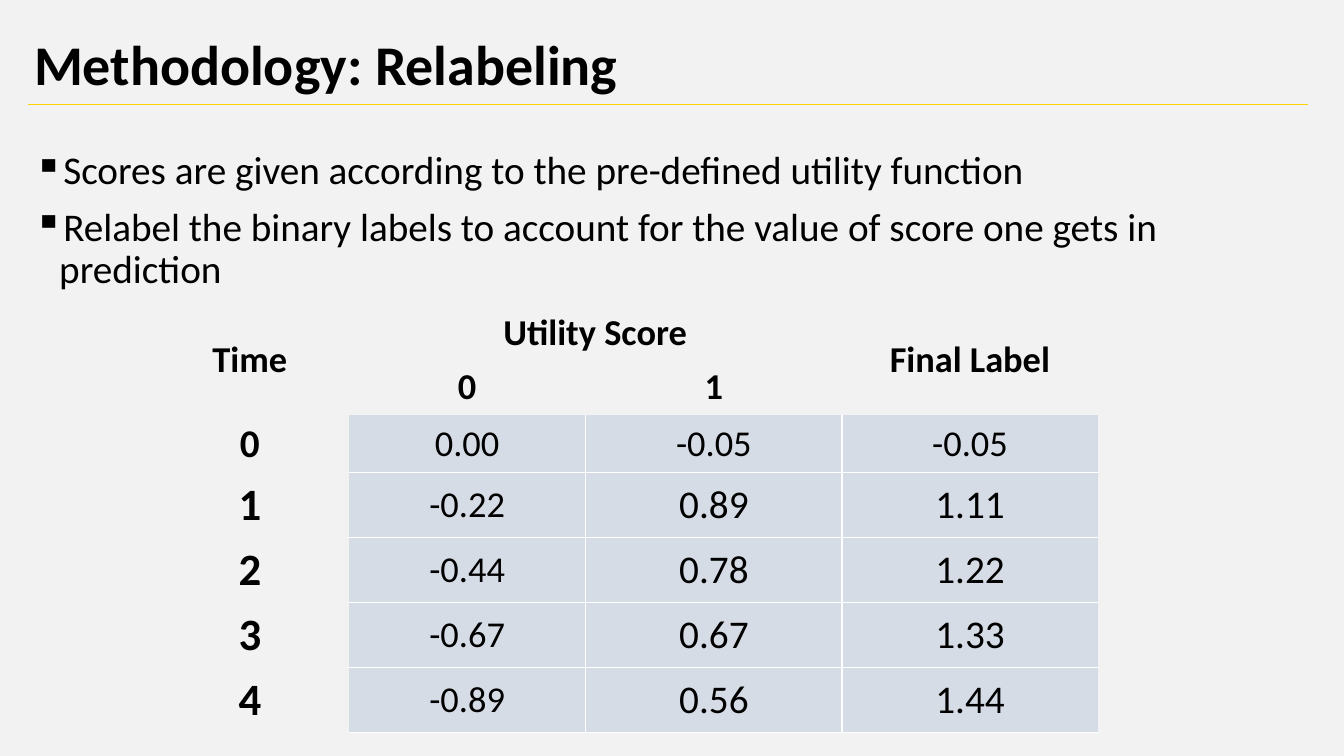
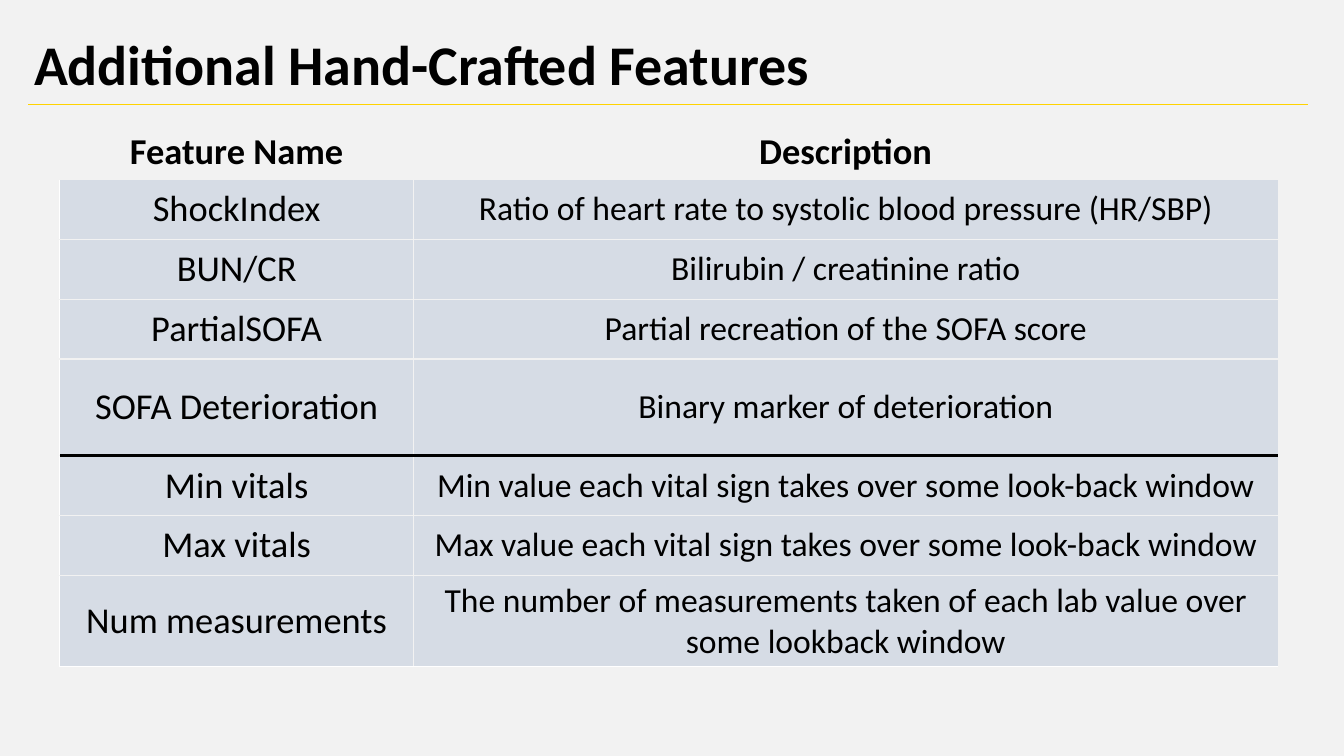
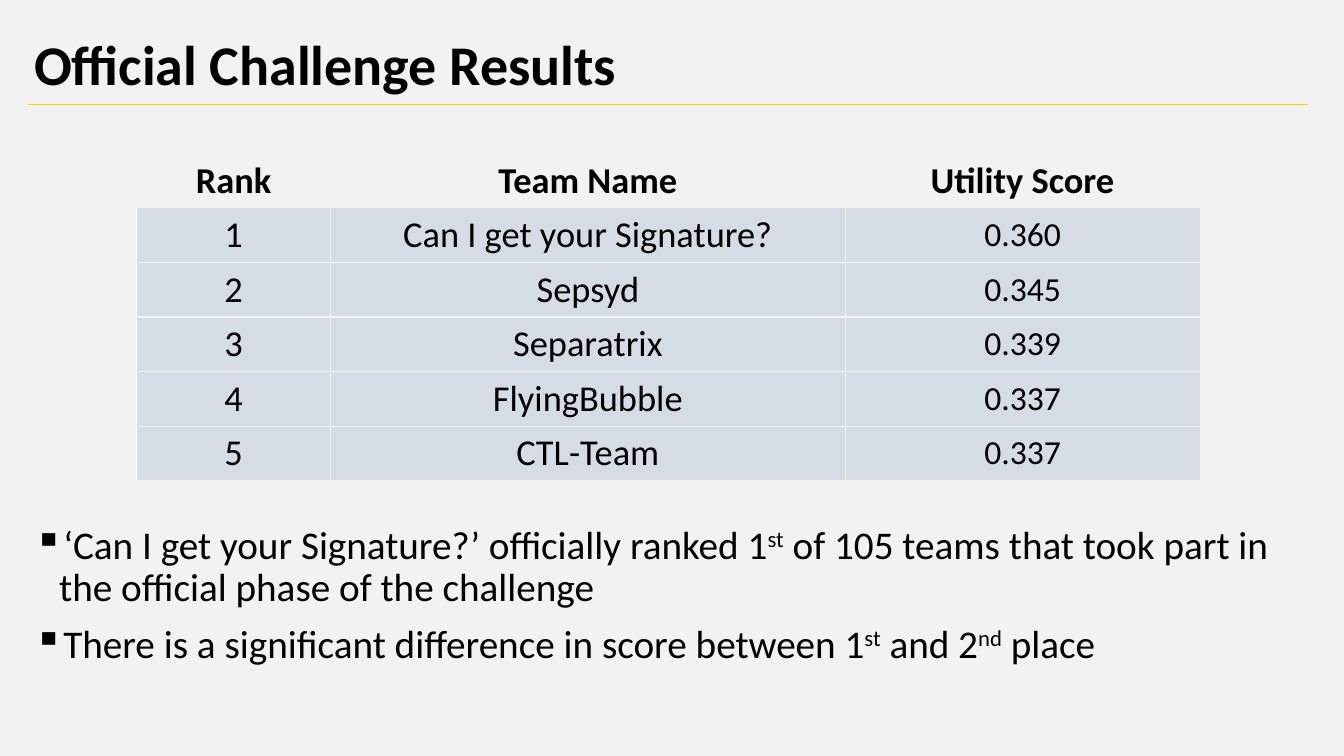
from dataclasses import dataclass
from typing import Optional

from lxml.etree import SubElement
from pptx import Presentation
from pptx.dml.color import RGBColor
from pptx.enum.shapes import MSO_CONNECTOR
from pptx.enum.text import MSO_ANCHOR, PP_ALIGN
from pptx.oxml.ns import qn
from pptx.slide import Slide
from pptx.util import Emu, Pt


@dataclass(frozen=True)
class Theme:
    font: str = "Calibri"
    ink: str = "000000"
    back: str = "F2F2F2"
    rule: str = "FFD300"
    cell: str = "D6DCE5"
    white: str = "FFFFFF"
    title: int = 40
    body: int = 28
    head: int = 26
    small: int = 24
    large: int = 32
    spacing: float = 0.9
    gap: int = 10


T = Theme()
NO_STYLE = "{2D5ABB26-0587-4C30-8999-92F81FD0307C}"


@dataclass(frozen=True)
class Grid:
    left: int
    top: int
    cols: list[int]
    rows: list[int]
    heads: list[list[str]]
    body: list[list[str]]
    sizes: list[tuple[int, ...]]
    line: str = T.back
    left_line: Optional[str] = T.white
    bottom_line: str = T.back
    label_cols: int = 0
    spans: tuple[tuple[int, int, int, int], ...] = ()


def px(n: int) -> Emu:
    return Emu(n * 9525)


def rgb(color: str) -> RGBColor:
    return RGBColor.from_string(color)


def write(tf, *texts: str, size: int = T.body, bold: bool = False,
          align: PP_ALIGN = PP_ALIGN.LEFT, anchor: MSO_ANCHOR = MSO_ANCHOR.TOP,
          spacing: float = 1.0, bullet: str = "") -> None:
    """Write one paragraph per text; parts between ^ marks are superscript."""
    tf.word_wrap = True
    tf.vertical_anchor = anchor
    for i, text in enumerate(texts):
        p = tf.paragraphs[0] if i == 0 else tf.add_paragraph()
        if bullet:
            pPr = p._p.get_or_add_pPr()
            pPr.set("marL", str(px(24)))
            pPr.set("indent", str(px(-24)))
            SubElement(pPr, qn("a:buChar")).set("char", bullet)
        p.alignment = align
        p.line_spacing = spacing
        if i:
            p.space_before = Pt(T.gap)
        for j, part in enumerate(text.split("^")):
            r = p.add_run()
            r.text = part
            r.font.name = T.font
            r.font.size = Pt(size)
            r.font.bold = bold
            r.font.color.rgb = rgb(T.ink)
            if j % 2:
                r._r.get_or_add_rPr().set("baseline", "30000")


def add_text(s: Slide, top: int, height: int, *texts: str, **fmt) -> None:
    sp = s.shapes.add_textbox(px(23), px(top), px(1227), px(height))
    write(sp.text_frame, *texts, spacing=T.spacing, **fmt)


def add_bullets(s: Slide, top: int, height: int, *texts: str) -> None:
    add_text(s, top, height, *texts, bullet="▪")


def add_rule(s: Slide, left: int, right: int, y: int, color: str, width: float) -> None:
    line = s.shapes.add_connector(MSO_CONNECTOR.STRAIGHT, px(left), px(y), px(right), px(y))
    line.line.color.rgb = rgb(color)
    line.line.width = Pt(width)
    SubElement(line._element.spPr, qn("a:effectLst"))


def add_border(cell, side: str, color: Optional[str]) -> None:
    ln = SubElement(cell._tc.get_or_add_tcPr(), qn(f"a:ln{side}"))
    if color is None:
        ln.set("w", "0")
        SubElement(ln, qn("a:noFill"))
        return
    ln.set("w", str(Pt(1)))
    fill = SubElement(ln, qn("a:solidFill"))
    SubElement(fill, qn("a:srgbClr")).set("val", color)


def add_grid(s: Slide, g: Grid) -> None:
    texts = g.heads + g.body
    first, last_row, last_col = len(g.heads), len(g.rows) - 1, len(g.cols) - 1
    frame = s.shapes.add_table(len(g.rows), len(g.cols), px(g.left), px(g.top),
                               px(sum(g.cols)), px(sum(g.rows)))
    frame.element.find(".//" + qn("a:tableStyleId")).text = NO_STYLE
    table = frame.table
    table.first_row = table.horz_banding = False
    for column, width in zip(table.columns, g.cols):
        column.width = px(width)
    for row, height in zip(table.rows, g.rows):
        row.height = px(height)
    for r1, c1, r2, c2 in g.spans:
        table.cell(r1, c1).merge(table.cell(r2, c2))

    for r, row_texts in enumerate(texts):
        for c, text in enumerate(row_texts):
            cell = table.cell(r, c)
            is_head = r < first
            is_label = c < g.label_cols
            if is_head or is_label:
                cell.fill.background()
            else:
                add_border(cell, "L", g.line if c > g.label_cols else g.left_line)
                add_border(cell, "R", g.line if c < last_col else None)
                add_border(cell, "T", g.line if r > first else None)
                add_border(cell, "B", g.line if r < last_row else g.bottom_line)
                cell.fill.solid()
                cell.fill.fore_color.rgb = rgb(T.cell)
            cell.vertical_anchor = MSO_ANCHOR.MIDDLE
            if text:
                write(cell.text_frame, text, bold=is_head or is_label,
                      size=T.head if is_head else g.sizes[r - first][c],
                      align=PP_ALIGN.CENTER, anchor=MSO_ANCHOR.MIDDLE)


def new_slide(prs, title: str) -> Slide:
    s = prs.slides.add_slide(prs.slide_layouts[6])
    add_rule(s, 27, 1246, 99, T.rule, 0.5)
    add_text(s, 17, 95, title, size=T.title, bold=True, anchor=MSO_ANCHOR.MIDDLE)
    return s


RELABELING = Grid(
    left=144, top=291, cols=[188, 226, 244, 244], rows=[52, 52, 55] + [62] * 4,
    heads=[["Time", "Utility Score", "", "Final Label"], ["", "0", "1", ""]],
    body=[["0", "0.00", "-0.05", "-0.05"],
          ["1", "-0.22", "0.89", "1.11"],
          ["2", "-0.44", "0.78", "1.22"],
          ["3", "-0.67", "0.67", "1.33"],
          ["4", "-0.89", "0.56", "1.44"]],
    sizes=[(T.body, T.head, T.head, T.head)] + [(T.large, T.head, T.body, T.body)] * 4,
    line=T.white, left_line=None, bottom_line=T.white, label_cols=1,
    spans=((0, 0, 1, 0), (0, 1, 0, 2), (0, 3, 1, 3)),
)

FEATURES = Grid(
    left=57, top=118, cols=[337, 823], rows=[53, 57, 57, 57, 92, 57, 57, 87],
    heads=[["Feature Name", "Description"]],
    body=[["ShockIndex", "Ratio of heart rate to systolic blood pressure (HR/SBP)"],
          ["BUN/CR", "Bilirubin / creatinine ratio"],
          ["PartialSOFA", "Partial recreation of the SOFA score"],
          ["SOFA Deterioration", "Binary marker of deterioration"],
          ["Min vitals", "Min value each vital sign takes over some look-back window"],
          ["Max vitals", "Max value each vital sign takes over some look-back window"],
          ["Num measurements", "The number of measurements taken of each lab value "
                               "over some lookback window"]],
    sizes=[(T.head, T.small)] * 7,
    bottom_line=T.white,
)

RESULTS = Grid(
    left=130, top=146, cols=[185, 490, 338], rows=[52] * 6,
    heads=[["Rank", "Team Name", "Utility Score"]],
    body=[["1", "Can I get your Signature?", "0.360"],
          ["2", "Sepsyd", "0.345"],
          ["3", "Separatrix", "0.339"],
          ["4", "FlyingBubble", "0.337"],
          ["5", "CTL-Team", "0.337"]],
    sizes=[(T.head, T.head, T.small)] * 5,
)


def main() -> None:
    prs = Presentation()
    prs.slide_width, prs.slide_height = px(1280), px(720)
    back = prs.slide_master.background.fill
    back.solid()
    back.fore_color.rgb = rgb(T.back)

    s = new_slide(prs, "Methodology: Relabeling")
    add_bullets(s, 139, 152,
                "Scores are given according to the pre-defined utility function",
                "Relabel the binary labels to account for the value of score one gets "
                "in prediction")
    add_grid(s, RELABELING)

    s = new_slide(prs, "Additional Hand-Crafted Features")
    add_grid(s, FEATURES)
    add_rule(s, FEATURES.left, FEATURES.left + sum(FEATURES.cols),
             FEATURES.top + sum(FEATURES.rows[:5]), T.ink, 1.75)

    s = new_slide(prs, "Official Challenge Results")
    add_grid(s, RESULTS)
    add_bullets(s, 496, 190,
                "‘Can I get your Signature?’ officially ranked 1^st^ of 105 teams that "
                "took part in the official phase of the challenge",
                "There is a significant difference in score between 1^st^ and 2^nd^ place")

    prs.save("out.pptx")


if __name__ == "__main__":
    main()
